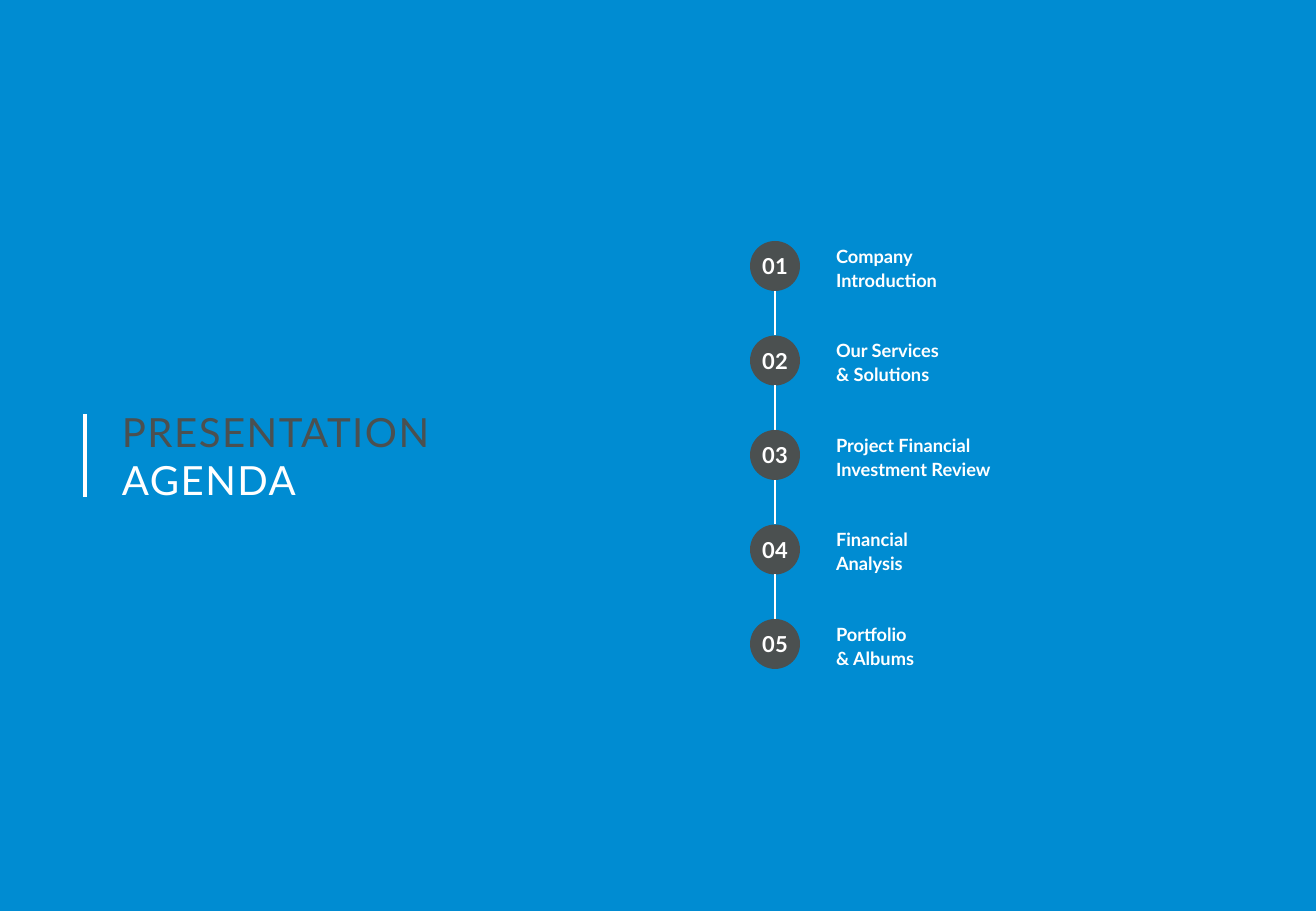
import pptx
import pptx.util
import pptx.dml.color
import pptx.enum.shapes
import pptx.enum.text
import pptx.oxml.ns
from lxml import etree

SCALE = 914400 / 121.5  # EMU per px
BLUE, GREY, WHITE = "008CD2", "4B5050", "FFFFFF"
AGENDA = [
    ("Company", "Introduction"),
    ("Our Services", "& Solutions"),
    ("Project Financial", "Investment Review"),
    ("Financial", "Analysis"),
    ("Portfolio", "& Albums"),
]


def px(n):
    return pptx.util.Emu(round(n * SCALE))


def rgb(color):
    return pptx.dml.color.RGBColor.from_string(color)


def add_line(slide, x1, y1, x2, y2, width):
    line = slide.shapes.add_connector(
        pptx.enum.shapes.MSO_CONNECTOR.STRAIGHT, px(x1), px(y1), px(x2), px(y2))
    line.line.color.rgb = rgb(WHITE)
    line.line.width = pptx.util.Pt(width)
    etree.SubElement(line._element.spPr, pptx.oxml.ns.qn("a:effectLst"))


def set_text(sp, lines, size, bold=False, spacing=0, leading=None,
             align=pptx.enum.text.PP_ALIGN.LEFT,
             anchor=pptx.enum.text.MSO_ANCHOR.TOP):
    """Write one paragraph for each (text, color) pair."""
    tf = sp.text_frame
    tf.word_wrap = True
    tf.vertical_anchor = anchor
    tf.margin_left = tf.margin_top = tf.margin_right = tf.margin_bottom = 0
    for i, (text, color) in enumerate(lines):
        p = tf.add_paragraph() if i else tf.paragraphs[0]
        p.alignment = align
        if leading:
            p.line_spacing = leading
        r = p.add_run()
        r.text = text
        r.font.name = "Lato"
        r.font.size = pptx.util.Pt(size)
        r.font.bold = bold
        r.font.color.rgb = rgb(color)
        if spacing:
            r.font._element.set("spc", str(round(spacing * 100)))


def add_title(slide, x, y, w, h):
    # White rule, then the two-line title
    add_line(slide, x, y + 7, x, y + 90, 2.25)
    sp = slide.shapes.add_textbox(px(x + 37), px(y), px(w - 37), px(h))
    set_text(sp, [("PRESENTATION", GREY), ("AGENDA", WHITE)], 23.8, spacing=0.9)


def add_timeline(slide, x, y, w, h):
    dot = 50
    pitch = (h - dot) / (len(AGENDA) - 1)
    for i, words in enumerate(AGENDA):
        top = y + i * pitch

        # Numbered circle
        sp = slide.shapes.add_shape(
            pptx.enum.shapes.MSO_SHAPE.OVAL, px(x), px(top), px(dot), px(dot))
        sp.shadow.inherit = False
        sp.fill.solid()
        sp.fill.fore_color.rgb = rgb(GREY)
        sp.line.fill.background()
        set_text(sp, [(f"{i + 1:02d}", WHITE)], 13, bold=True, spacing=0.2,
                 align=pptx.enum.text.PP_ALIGN.CENTER,
                 anchor=pptx.enum.text.MSO_ANCHOR.MIDDLE)

        # Label
        sp = slide.shapes.add_textbox(px(x + 86), px(top + 2), px(w - 86), px(dot))
        set_text(sp, [(word, WHITE) for word in words], 10.8, bold=True, leading=1.1)

        # Link to the next circle
        if i < len(AGENDA) - 1:
            mid = x + dot / 2
            add_line(slide, mid, top + dot, mid, top + pitch, 1)


def main():
    prs = pptx.Presentation()
    prs.slide_width, prs.slide_height = px(1316), px(911)
    slide = prs.slides.add_slide(prs.slide_layouts[6])
    slide.background.fill.solid()
    slide.background.fill.fore_color.rgb = rgb(BLUE)
    add_title(slide, 85, 407, 558, 98)
    add_timeline(slide, 750, 241, 323, 428)
    prs.save("out.pptx")


if __name__ == "__main__":
    main()
